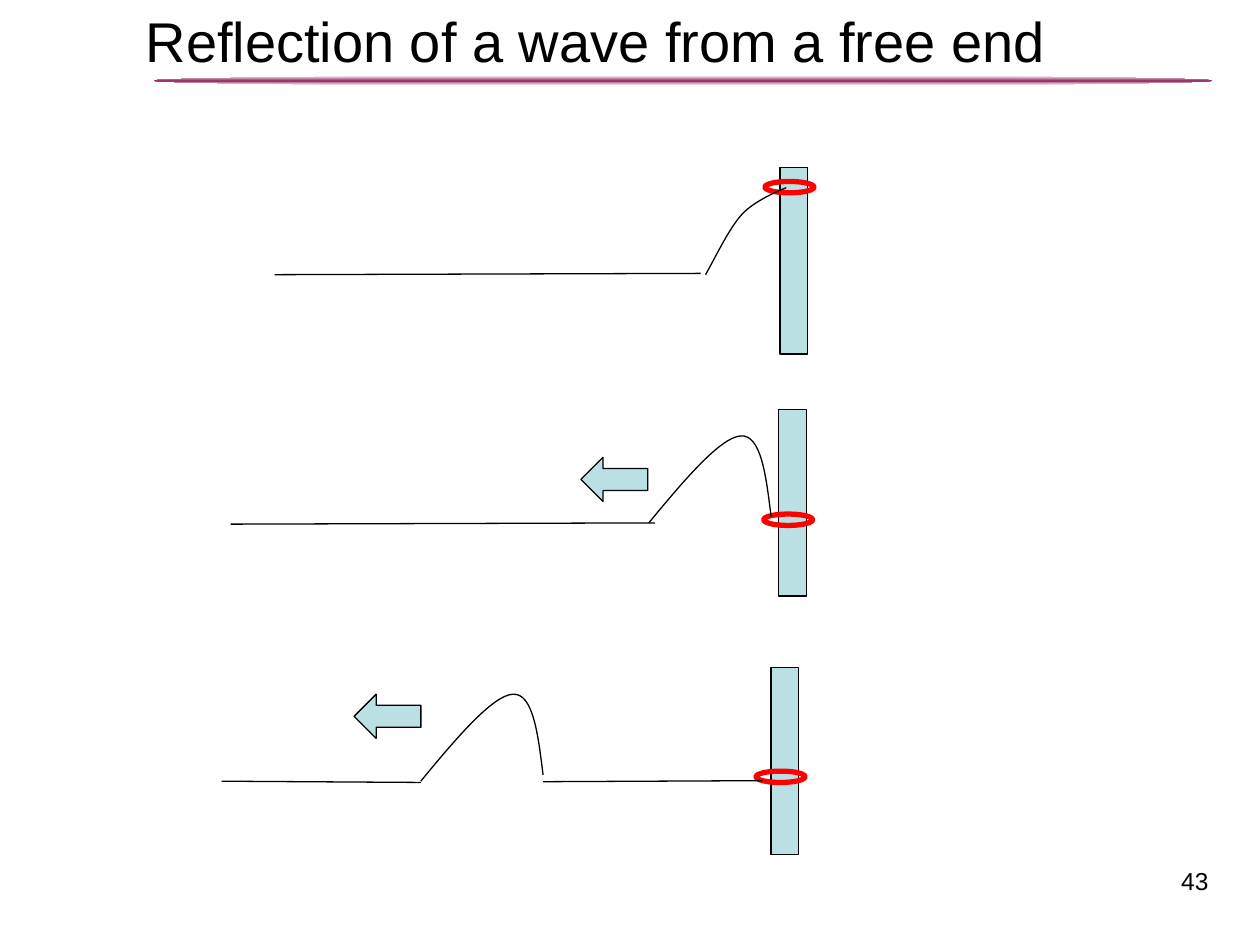
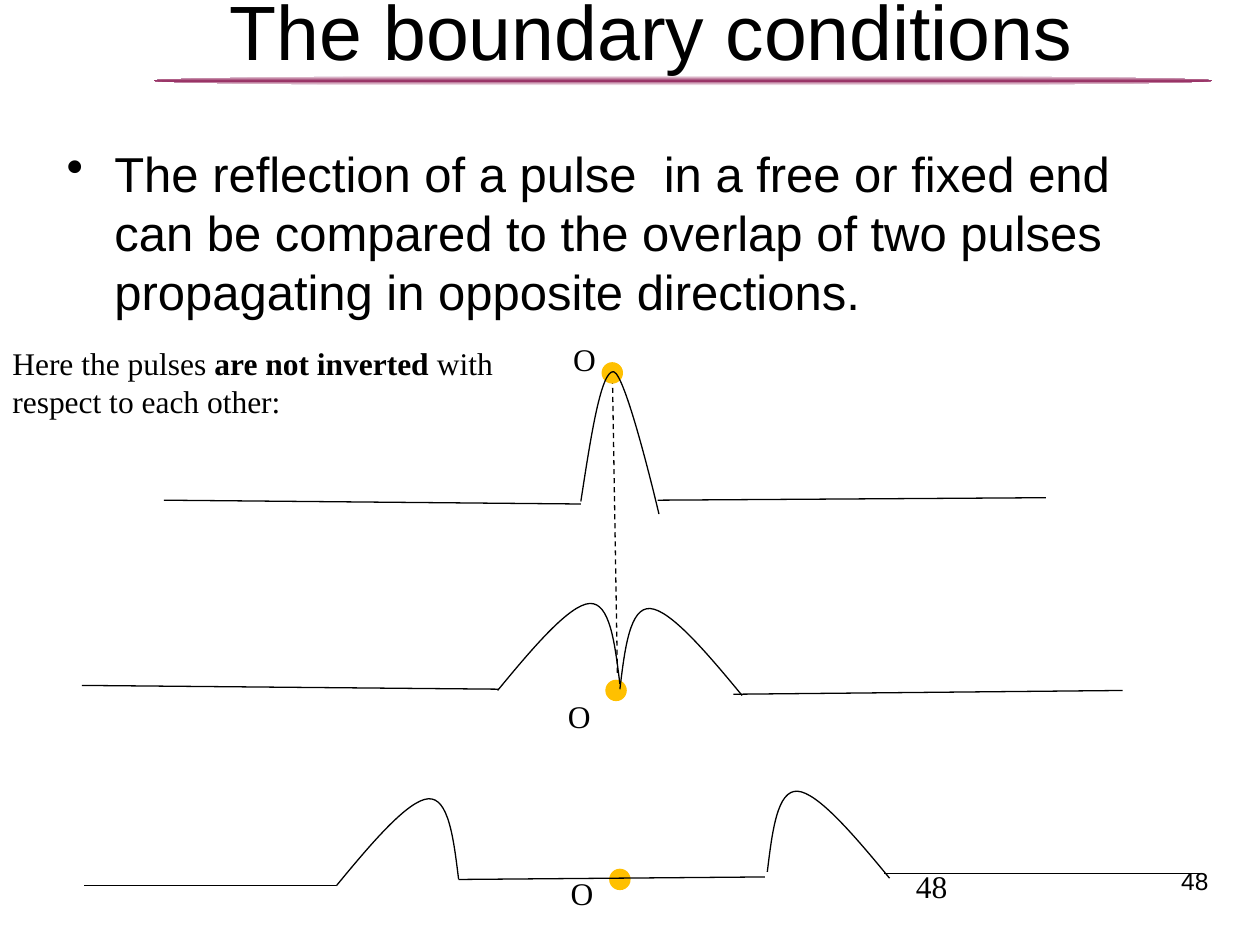
from copy import deepcopy
from lxml.etree import SubElement
from pptx import Presentation
from pptx.dml.color import RGBColor
from pptx.enum.dml import MSO_LINE_DASH_STYLE as Dash
from pptx.enum.shapes import MSO_CONNECTOR_TYPE as Connector, MSO_SHAPE as Shape
from pptx.enum.text import MSO_ANCHOR as Anchor, PP_ALIGN as Align
from pptx.oxml.ns import qn
from pptx.util import Inches, Pt

BLACK = RGBColor(0x00, 0x00, 0x00)
WHITE = RGBColor(0xFF, 0xFF, 0xFF)
PLUM = RGBColor(0x99, 0x33, 0x66)
POST_BLUE = RGBColor(0xBB, 0xE0, 0xE3)
RING_RED = RGBColor(0xFF, 0x00, 0x00)
DOT_GOLD = RGBColor(0xFF, 0xC0, 0x00)
SANS = "Arial"
SERIF = "Times New Roman"
COLUMNS, ROWS = 100, 75
PULSE = [(0, 0), (-0.4, -3.3), (-0.8, -6.5), (-2.4, -6.4),
         (-4, -6.3), (-6.9, -2.9), (-9.7, 0.5)]


class WaveDeck:
    def __init__(self):
        self.presentation = Presentation()
        self.presentation.slide_width = Inches(10)
        self.presentation.slide_height = Inches(7.5)
        self.column = self.presentation.slide_width / COLUMNS
        self.row = self.presentation.slide_height / ROWS
        self.slide = None

    def place(self, left, top, width, height):
        return (round(left * self.column), round(top * self.row),
                round(width * self.column), round(height * self.row))

    def new_slide(self, title, title_size, title_left, title_top, number):
        self.slide = self.presentation.slides.add_slide(self.presentation.slide_layouts[6])
        self.band()
        self.text((73.6, 68.2, 23.3, 4.5), [number], 14, align=Align.RIGHT)
        self.text((title_left, title_top, 90, 12.5), [title], title_size, align=Align.CENTER)

    def band(self):
        band = self.shape(Shape.OVAL, (12.2, 6, 84, 0.8))
        band.fill.gradient()
        band.fill.gradient_angle = 90
        first = band.fill.gradient_stops[0]._gs
        first.addnext(deepcopy(first))
        for stop, position, color in zip(band.fill.gradient_stops, (0, 0.5, 1),
                                         (WHITE, PLUM, WHITE)):
            stop.position = position
            stop.color.rgb = color

    def text(self, box, runs, size, font=SANS, align=Align.LEFT, wrap=True, bullet=False):
        frame = self.slide.shapes.add_textbox(*self.place(*box)).text_frame
        frame.word_wrap = wrap
        frame.vertical_anchor = Anchor.TOP
        paragraph = frame.paragraphs[0]
        paragraph.alignment = align
        if bullet:
            properties = paragraph._p.get_or_add_pPr()
            properties.set("marL", str(Inches(0.38)))
            properties.set("indent", str(-Inches(0.38)))
            SubElement(properties, qn("a:buChar")).set("char", "•")
        for index, words in enumerate(runs):
            run = paragraph.add_run()
            run.text = words
            run.font.name = font
            run.font.size = Pt(size)
            run.font.bold = index % 2 == 1
            run.font.color.rgb = BLACK

    def shape(self, kind, box, fill=None, line=None, weight=0.75):
        shape = self.slide.shapes.add_shape(kind, *self.place(*box))
        return self.style(shape, fill, line, weight)

    def style(self, shape, fill, line, weight=0.75):
        shape.shadow.inherit = False
        if fill is None:
            shape.fill.background()
        else:
            shape.fill.solid()
            shape.fill.fore_color.rgb = fill
        if line is None:
            shape.line.fill.background()
        else:
            shape.line.color.rgb = line
            shape.line.width = Pt(weight)
        return shape

    def post(self, left, top):
        self.shape(Shape.RECTANGLE, (left, top, 2.2, 14.8), POST_BLUE, BLACK)

    def ring(self, left, top):
        self.shape(Shape.OVAL, (left, top, 3.9, 0.9), None, RING_RED, 3)

    def arrow(self, left, top):
        arrow = self.shape(Shape.RIGHT_ARROW, (left, top, 5.3, 3.5), POST_BLUE, BLACK)
        arrow.rotation = 180

    def dot(self, left, top):
        self.shape(Shape.OVAL, (left, top, 1.6, 1.6), DOT_GOLD, DOT_GOLD)

    def origin_label(self, left, top):
        self.text((left, top, 4, 4), ["O"], 18, SERIF, wrap=False)

    def string(self, x1, y1, x2, y2, dashed=False):
        line = self.slide.shapes.add_connector(
            Connector.STRAIGHT, *self.place(x1, y1, x2, y2))
        line.line.color.rgb = BLACK
        line.line.width = Pt(0.75)
        if dashed:
            line.line.dash_style = Dash.DASH
        SubElement(line._element.spPr, qn("a:effectLst"))

    def curve(self, points):
        scaled = [(round(x * self.column), round(y * self.row)) for x, y in points]
        builder = self.slide.shapes.build_freeform(*scaled[0])
        builder.add_line_segments(scaled[1:], close=False)
        shape = self.style(builder.convert_to_shape(), None, BLACK)
        segments = list(shape._element.iter(qn("a:lnTo")))
        outline = segments[0].getparent()
        for i in range(0, len(segments), 3):
            bezier = SubElement(outline, qn("a:cubicBezTo"))
            for segment in segments[i:i + 3]:
                bezier.append(segment[0])
                outline.remove(segment)

    def pulse(self, x, y, direction=1):
        self.curve([(x + direction * dx, y + dy) for dx, dy in PULSE])


def free_end(deck):
    deck.new_slide("Reflection of a wave from a free end", 32, 2.3, 0, "43")
    stages = [
        ((61.9, 13.3), (21.8, 21.8, 55.6, 21.7), (60.7, 14.4)),
        ((61.8, 32.5), (18.3, 41.6, 52, 41.5), (60.6, 40.8)),
        ((61.2, 53), (17.6, 62, 33.4, 62.1), (60, 61.2)),
    ]
    for post, string, ring in stages:
        deck.post(*post)
        deck.string(*string)
        deck.ring(*ring)
    deck.curve([(56, 21.8), (57, 20), (57.9, 18.1), (58.9, 17),
                (60, 15.8), (62.4, 14.9), (62.4, 14.9)])
    deck.pulse(61.2, 41)
    deck.pulse(43.1, 61.5)
    deck.string(43.1, 62.04, 60.5, 61.96)
    deck.arrow(46.1, 36.3)
    deck.arrow(28.1, 55.1)


def boundary_conditions(deck):
    deck.new_slide("The boundary conditions", 44, 6.7, -1.8, "48")
    deck.text((4.3, 10.9, 90, 49.5),
              ["The reflection of a pulse  in a free or fixed end can be compared to "
               "the overlap of two pulses propagating in opposite directions."],
              28, bullet=True)
    deck.text((71.7, 68.3, 23.3, 5.2), ["48"], 18, SERIF)
    deck.string(49, 53.4, 48.6, 29.4, dashed=True)
    for dot in [(48.1, 54), (47.8, 28.8), (48.4, 69)]:
        deck.dot(*dot)
    for label in [(44.1, 54.8), (44.5, 26.5), (44.3, 68.9)]:
        deck.origin_label(*label)
    for string in [
        (13, 39.7, 46.1, 40), (52.2, 39.7, 83, 39.5),
        (6.5, 54.4, 39.6, 54.7), (58.2, 55.1, 89.1, 54.8),
        (6.7, 70.3, 26.7, 70.3), (36.4, 69.8, 60.7, 69.6), (70.2, 69.3, 95.3, 69.3),
    ]:
        deck.string(*string)
    deck.curve([(46.1, 39.8), (46.9, 34.6), (47.7, 29.4), (48.7, 29.5),
                (49.7, 29.7), (52.3, 40.8), (52.3, 40.8)])
    for x, y, direction in [(49.2, 54.3, 1), (49.2, 54.7, -1),
                            (36.4, 69.8, 1), (60.9, 69.2, -1)]:
        deck.pulse(x, y, direction)
    deck.text((0, 26.8, 45.4, 7.1),
              ["Here the pulses ", "are not inverted ", "with respect to each other:"],
              18, SERIF)


def main():
    deck = WaveDeck()
    free_end(deck)
    boundary_conditions(deck)
    deck.presentation.save("out.pptx")


if __name__ == "__main__":
    main()
